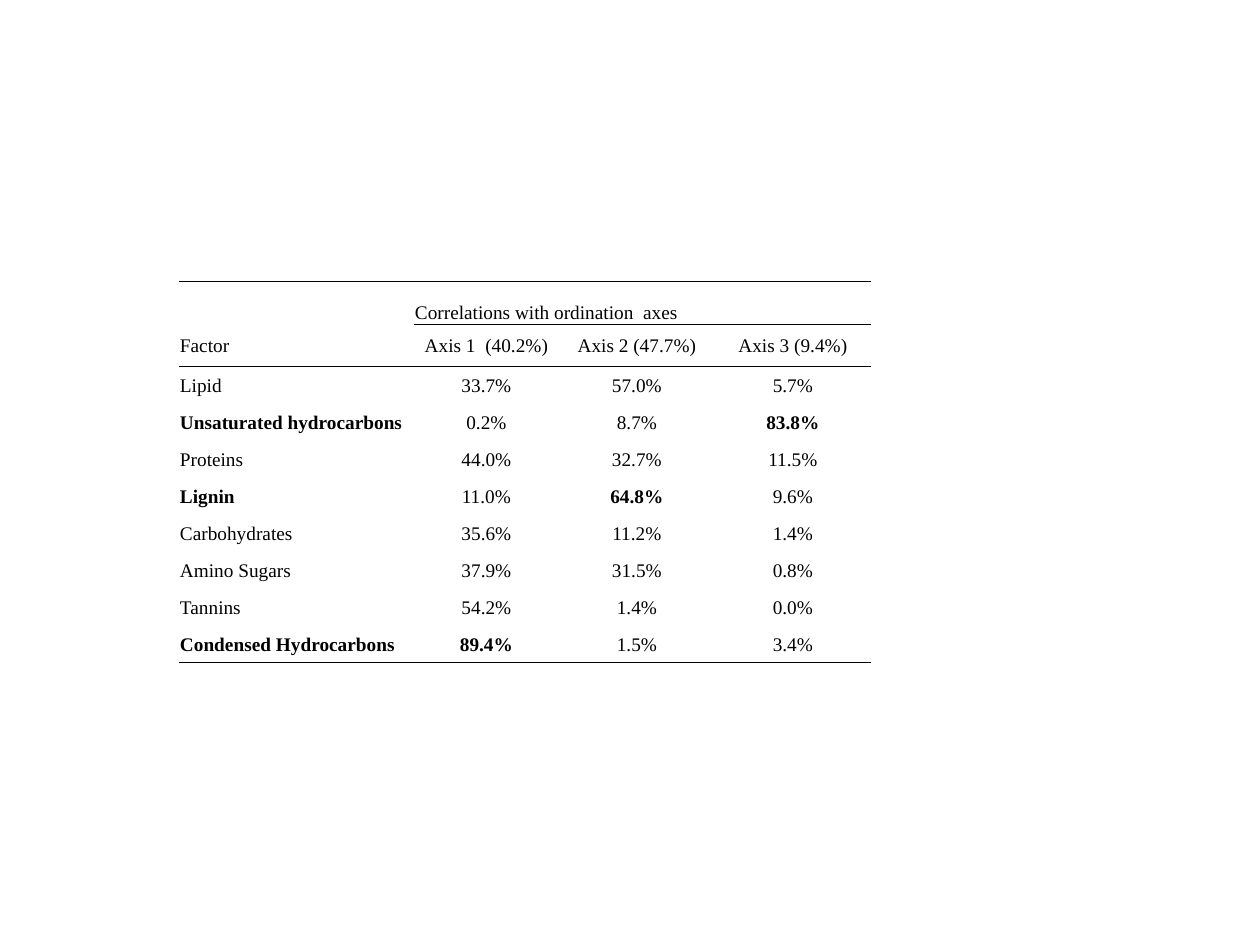
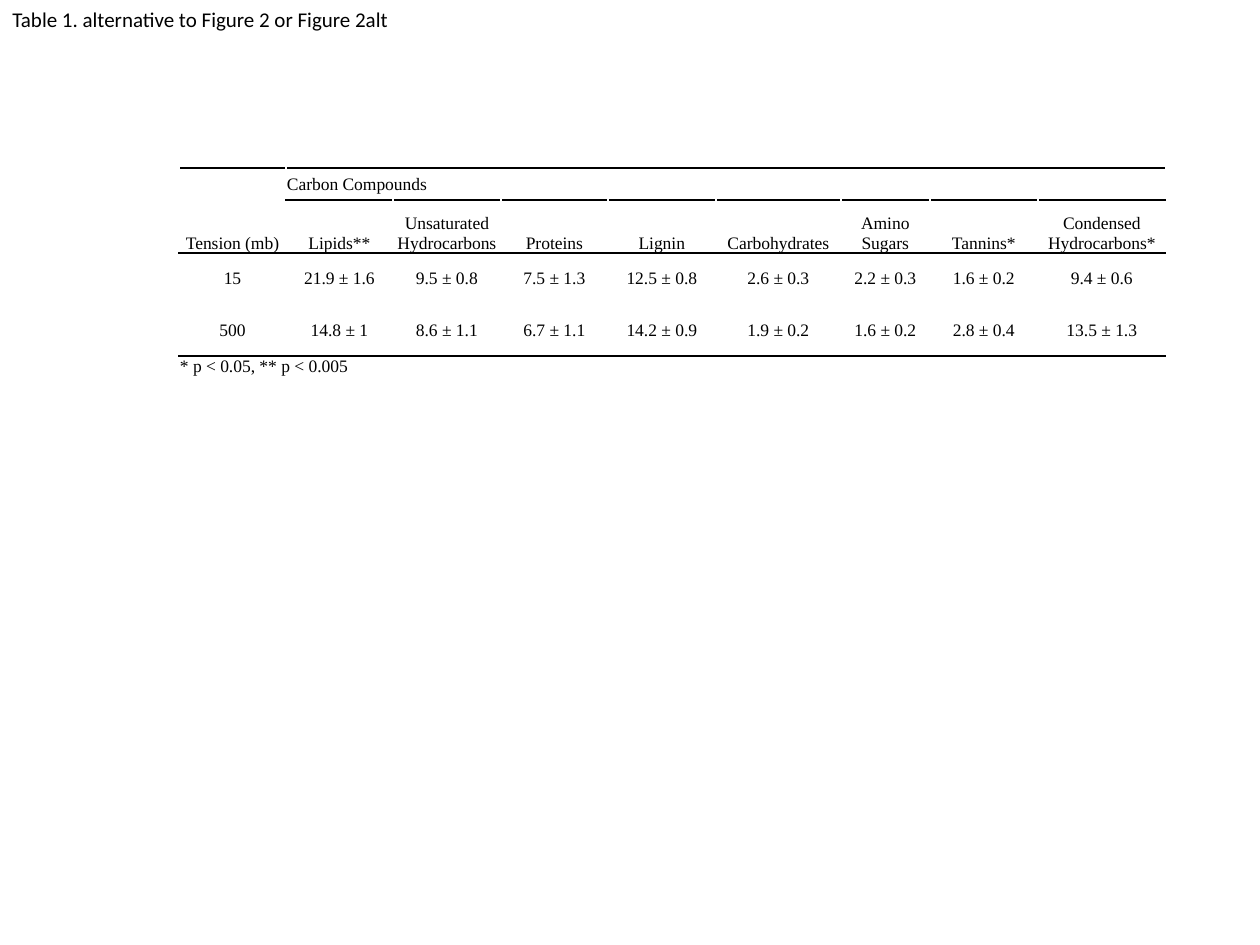
import pptx
import pptx.util
import pptx.dml.color
import pptx.enum.text
import pptx.oxml.ns
from lxml import etree

BLACK = pptx.dml.color.RGBColor(0, 0, 0)
WHITE = pptx.dml.color.RGBColor(255, 255, 255)
SERIF, SANS = "Times New Roman", "Calibri"
PX = 914400 // 126
PLAIN = "{2D5ABB26-0587-4C30-8999-92F81FD0307C}"  # no style, no grid

ALIGN = pptx.enum.text.PP_ALIGN
ANCHOR = pptx.enum.text.MSO_ANCHOR
qn = pptx.oxml.ns.qn

CAPTION = "Table 1. alternative to Figure 2 or Figure 2alt"

# "rules" maps a row boundary to the first column its black line covers.
# "spans" maps a row to the column from which its cells are merged.
AXES = dict(
    at=(179, 281), size=11, line=0.5, grid=None,
    cols=[235, 145, 156, 156],
    rows=[43] * 2 + [37] * 8,
    rules={0: 0, 1: 1, 2: 0, 10: 0},
    spans={0: 1},
    left=[0], low=[0], top=[],
    bold={"Unsaturated hydrocarbons", "83.8%", "Lignin", "64.8%",
          "Condensed Hydrocarbons", "89.4%"},
    cells=[
        ["", "Correlations with ordination  axes"],
        ["Factor", "Axis 1  (40.2%)", "Axis 2 (47.7%)", "Axis 3 (9.4%)"],
        ["Lipid", "33.7%", "57.0%", "5.7%"],
        ["Unsaturated hydrocarbons", "0.2%", "8.7%", "83.8%"],
        ["Proteins", "44.0%", "32.7%", "11.5%"],
        ["Lignin", "11.0%", "64.8%", "9.6%"],
        ["Carbohydrates", "35.6%", "11.2%", "1.4%"],
        ["Amino Sugars", "37.9%", "31.5%", "0.8%"],
        ["Tannins", "54.2%", "1.4%", "0.0%"],
        ["Condensed Hydrocarbons", "89.4%", "1.5%", "3.4%"],
    ])

CARBON = dict(
    at=(179, 168), size=10, line=1, grid=WHITE,
    cols=[107, 107, 108, 107, 108, 125, 89, 108, 128],
    rows=[32, 53, 51, 52, 51],
    rules={0: 0, 1: 1, 2: 0, 4: 0},
    spans={0: 1, 4: 0},
    left=[], low=[1], top=[4],
    bold=set(),
    cells=[
        ["", "Carbon Compounds"],
        ["Tension (mb)", "Lipids**", "Unsaturated Hydrocarbons", "Proteins",
         "Lignin", "Carbohydrates", "Amino Sugars", "Tannins*",
         "Condensed Hydrocarbons*"],
        ["15", "21.9 ± 1.6", "9.5 ± 0.8", "7.5 ± 1.3", "12.5 ± 0.8",
         "2.6 ± 0.3", "2.2 ± 0.3", "1.6 ± 0.2", "9.4 ± 0.6"],
        ["500", "14.8 ± 1", "8.6 ± 1.1", "6.7 ± 1.1", "14.2 ± 0.9",
         "1.9 ± 0.2", "1.6 ± 0.2", "2.8 ± 0.4", "13.5 ± 1.3"],
        ["* p < 0.05, ** p < 0.005"],
    ])


def style(par, face, size, bold=False):
    font = par.font
    font.name, font.size, font.bold = face, pptx.util.Pt(size), bold
    font.color.rgb = BLACK


def edge(cell, side, color, width):
    """Draw one border of a cell, or clear it if color is None."""
    props = cell._tc.get_or_add_tcPr()
    line = etree.SubElement(props, qn("a:ln" + side),
                            w=str(int(pptx.util.Pt(width))))
    if color is None:
        etree.SubElement(line, qn("a:noFill"))
    else:
        fill = etree.SubElement(line, qn("a:solidFill"))
        etree.SubElement(fill, qn("a:srgbClr"), val=str(color))


def fill_cell(cell, spec, row, col):
    def rule(bound):
        start = spec["rules"].get(bound)
        return spec["grid"] if start is None or col < start else BLACK

    sides = dict(L=spec["grid"], R=spec["grid"], T=rule(row), B=rule(row + 1))
    for side, color in sides.items():
        edge(cell, side, color, spec["line"])
    cell.fill.background()
    cell.margin_left = cell.margin_right = cell.margin_top = PX
    cell.margin_bottom = 0
    cell.vertical_anchor = (ANCHOR.BOTTOM if row in spec["low"] else
                            ANCHOR.TOP if row in spec["top"] else
                            ANCHOR.MIDDLE)

    texts = spec["cells"][row]
    text = texts[col] if col < len(texts) else ""
    cell.text = text
    par = cell.text_frame.paragraphs[0]
    first = spec["spans"].get(row) == col or col in spec["left"]
    par.alignment = ALIGN.LEFT if first else ALIGN.CENTER
    style(par, SERIF, spec["size"], text in spec["bold"])
    if not text:  # keeps an empty cell from stretching its row
        etree.SubElement(par._p, qn("a:endParaRPr"),
                         sz=str(spec["size"] * 100))


def add_grid(slide, spec):
    cols, rows = spec["cols"], spec["rows"]
    box = [n * PX for n in (*spec["at"], sum(cols), sum(rows))]
    table = slide.shapes.add_table(len(rows), len(cols), *box).table
    table.first_row = table.horz_banding = False
    table._tbl.tblPr.find(qn("a:tableStyleId")).text = PLAIN
    for col, wide in zip(table.columns, cols):
        col.width = wide * PX
    for row, high in zip(table.rows, rows):
        row.height = high * PX
    for row in range(len(rows)):
        for col in range(len(cols)):
            fill_cell(table.cell(row, col), spec, row, col)
    for row, col in spec["spans"].items():
        table.cell(row, col).merge(table.cell(row, len(cols) - 1))


def add_caption(slide, text):
    frame = slide.shapes.add_textbox(0, 0, 409 * PX, 38 * PX).text_frame
    frame.word_wrap = False
    frame.auto_size = pptx.enum.text.MSO_AUTO_SIZE.SHAPE_TO_FIT_TEXT
    frame.text = text
    style(frame.paragraphs[0], SANS, 12)


def main():
    deck = pptx.Presentation()
    deck.slide_width, deck.slide_height = 1260 * PX, 945 * PX
    blank = deck.slide_layouts[6]
    for spec, caption in ((AXES, None), (CARBON, CAPTION)):
        slide = deck.slides.add_slide(blank)
        add_grid(slide, spec)
        if caption:
            add_caption(slide, caption)
    deck.save("out.pptx")


if __name__ == "__main__":
    main()
